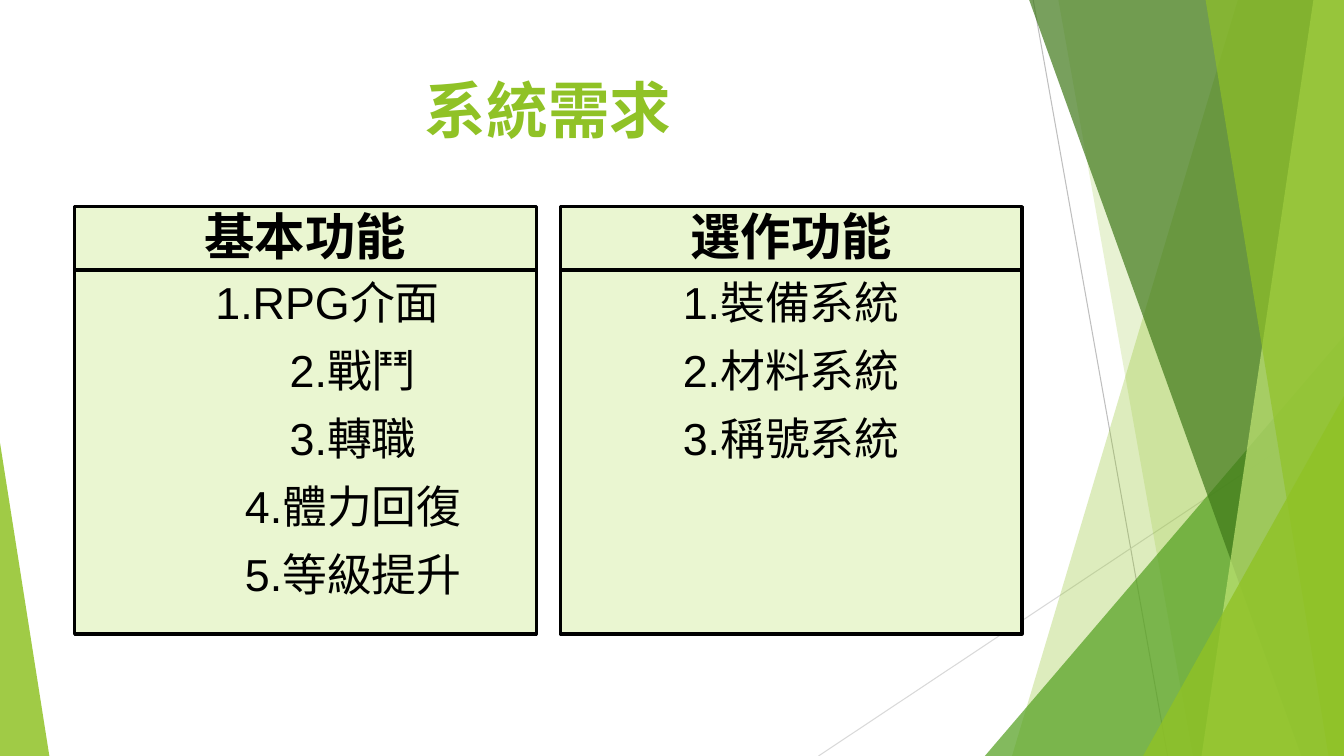
import pptx
import pptx.util
import pptx.dml.color
import pptx.enum.shapes
import pptx.enum.text
import pptx.oxml.ns
import lxml.etree

theme = {
    "lime": "90C226", "green": "54A021", "dark": "3F7819", "pale": "C0E474",
    "panel": "EAF6D1", "ink": "000000", "gray": "BFBFBF", "light": "D9D9D9",
    "title": 44, "head": 36, "body": 32, "space": 10,
    "hair": 0.75, "edge": 2.25, "face": "Arial", "brand": "Cabin",
}
rgb = pptx.dml.color.RGBColor.from_string
point = pptx.util.Pt
qn = pptx.oxml.ns.qn
kinds = pptx.enum.shapes.MSO_SHAPE
anchors = pptx.enum.text.MSO_ANCHOR

deck = pptx.Presentation()
deck.slide_width = pptx.util.Inches(13.33)
deck.slide_height = pptx.util.Inches(7.5)
slide = deck.slides.add_slide(deck.slide_layouts[6])
shapes = slide.shapes
cols, rows = 40, 22.5
wide = deck.slide_width / cols
high = deck.slide_height / rows


def place(*cells):
    return [round(cell * (high if i % 2 else wide)) for i, cell in enumerate(cells)]


def write(shape, lines, size, color, face, bold):
    frame = shape.text_frame
    frame.word_wrap = True
    frame.text = "\n".join(lines)
    for para in frame.paragraphs:
        para.alignment = pptx.enum.text.PP_ALIGN.CENTER
        para.space_before = point(theme["space"])
        font = para.runs[0].font
        font.size = point(theme[size])
        font.name = theme[face]
        font.bold = bold
        font.color.rgb = rgb(theme[color])
    return frame


for ends, color in [((30.75, 0, 34.75, rows), "gray"), ((cols, 12.1, 24.36, rows), "light")]:
    line = shapes.add_connector(pptx.enum.shapes.MSO_CONNECTOR.STRAIGHT, *place(*ends))
    line.line.color.rgb = rgb(theme[color])
    line.line.width = point(theme["hair"])
    lxml.etree.SubElement(line.element.spPr, qn("a:effectLst"))

facets = [
    ("band", (36.84, 30.12), "lime", 30),
    ("band", (31.5, 35.5), "lime", 20),
    ("peak", (29.31, 10, 10.69, 12.5, 1), "green", 72),
    ("band", (30.63, 38.73), "dark", 70),
    ("band", (39.09, 35.76), "pale", 70),
    ("band", (35.88, 39.54), "lime", 65),
    ("peak", (34.02, 11.79, 5.98, 10.71, 1), "lime", 80),
    ("peak", (0, 13.17, 1.47, 9.33, 0), "lime", 85),
]
for kind, spots, color, share in facets:
    if kind == "band":
        top, foot = spots
        pen = shapes.build_freeform(*place(top, 0))
        pen.add_line_segments([place(cols, 0), place(cols, rows), place(foot, rows)], close=True)
        facet = pen.convert_to_shape()
    else:
        facet = shapes.add_shape(kinds.ISOSCELES_TRIANGLE, *place(*spots[:4]))
        facet.adjustments[0] = spots[4]
    facet.shadow.inherit = False
    facet.line.fill.background()
    facet.fill.solid()
    facet.fill.fore_color.rgb = rgb(theme[color])
    tint = facet.element.spPr.find(qn("a:solidFill"))[0]
    lxml.etree.SubElement(tint, qn("a:alpha")).set("val", str(share * 1000))

title = shapes.add_textbox(*place(2.22, 2, 28.2, 4.32))
write(title, ["系統需求"], "title", "lime", "brand", True)

left, width, step = 2.22, 13.74, 14.46
panels = [
    ("基本功能", ["1.RPG介面", "2.戰鬥", "3.轉職", "4.體力回復", "5.等級提升"], [0.44] + [0.95] * 4),
    ("選作功能", ["1.裝備系統", "2.材料系統", "3.稱號系統"], [0] * 3),
]
for i, (head, items, shifts) in enumerate(panels):
    parts = [
        (6.15, 1.89, [head], "head", anchors.BOTTOM),
        (8.04, 10.83, items, "body", anchors.TOP),
    ]
    for top, tall, lines, size, anchor in parts:
        box = shapes.add_shape(kinds.RECTANGLE, *place(left + i * step, top, width, tall))
        box.shadow.inherit = False
        box.fill.solid()
        box.fill.fore_color.rgb = rgb(theme["panel"])
        box.line.color.rgb = rgb(theme["ink"])
        box.line.width = point(theme["edge"])
        frame = write(box, lines, size, "ink", "face", size == "head")
        frame.vertical_anchor = anchor
    for para, shift in zip(frame.paragraphs, shifts):
        para.runs[0].font.bold = False
        para.font.bold = False
        para._p.get_or_add_pPr().set("marL", str(pptx.util.Inches(shift)))

deck.save("out.pptx")
